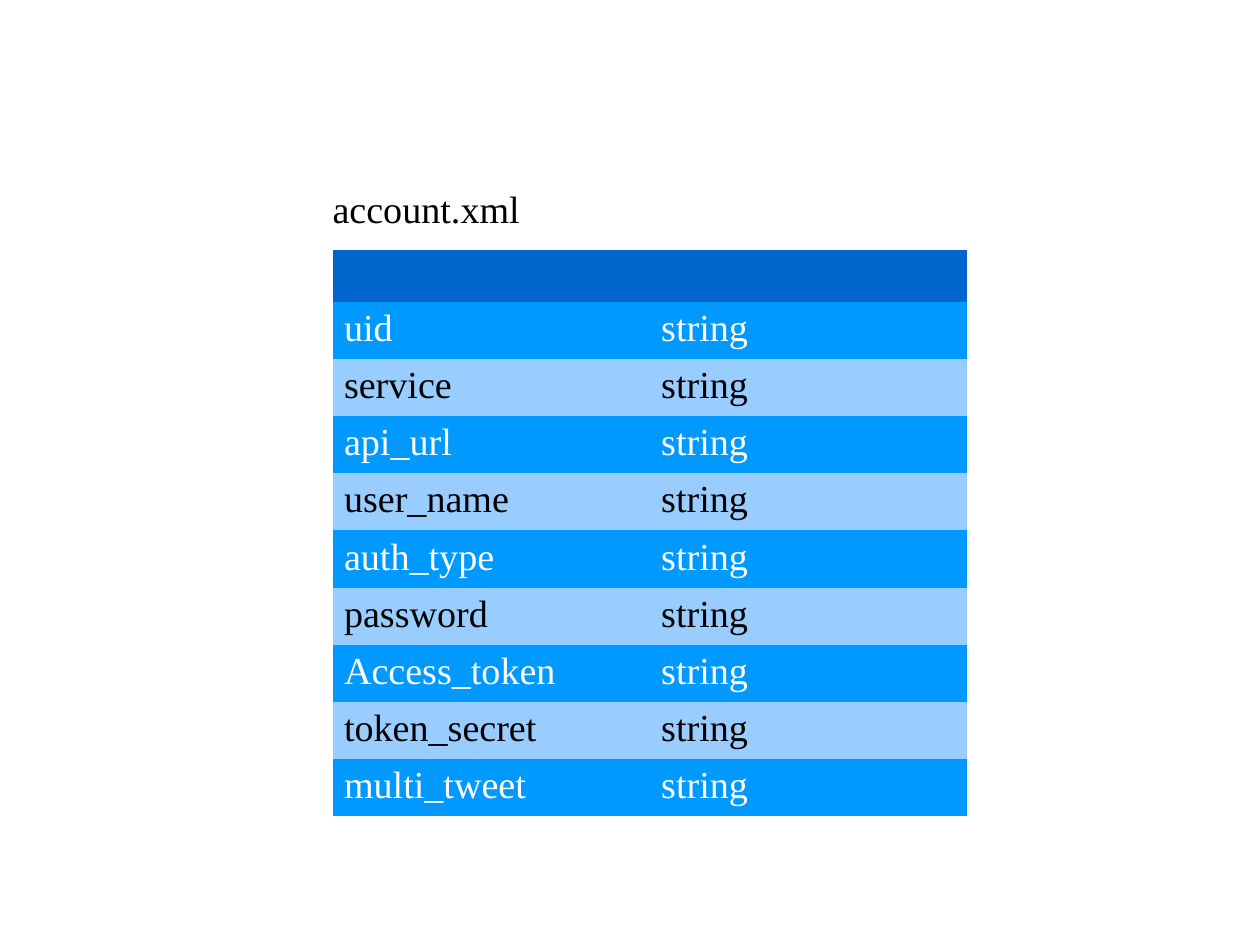
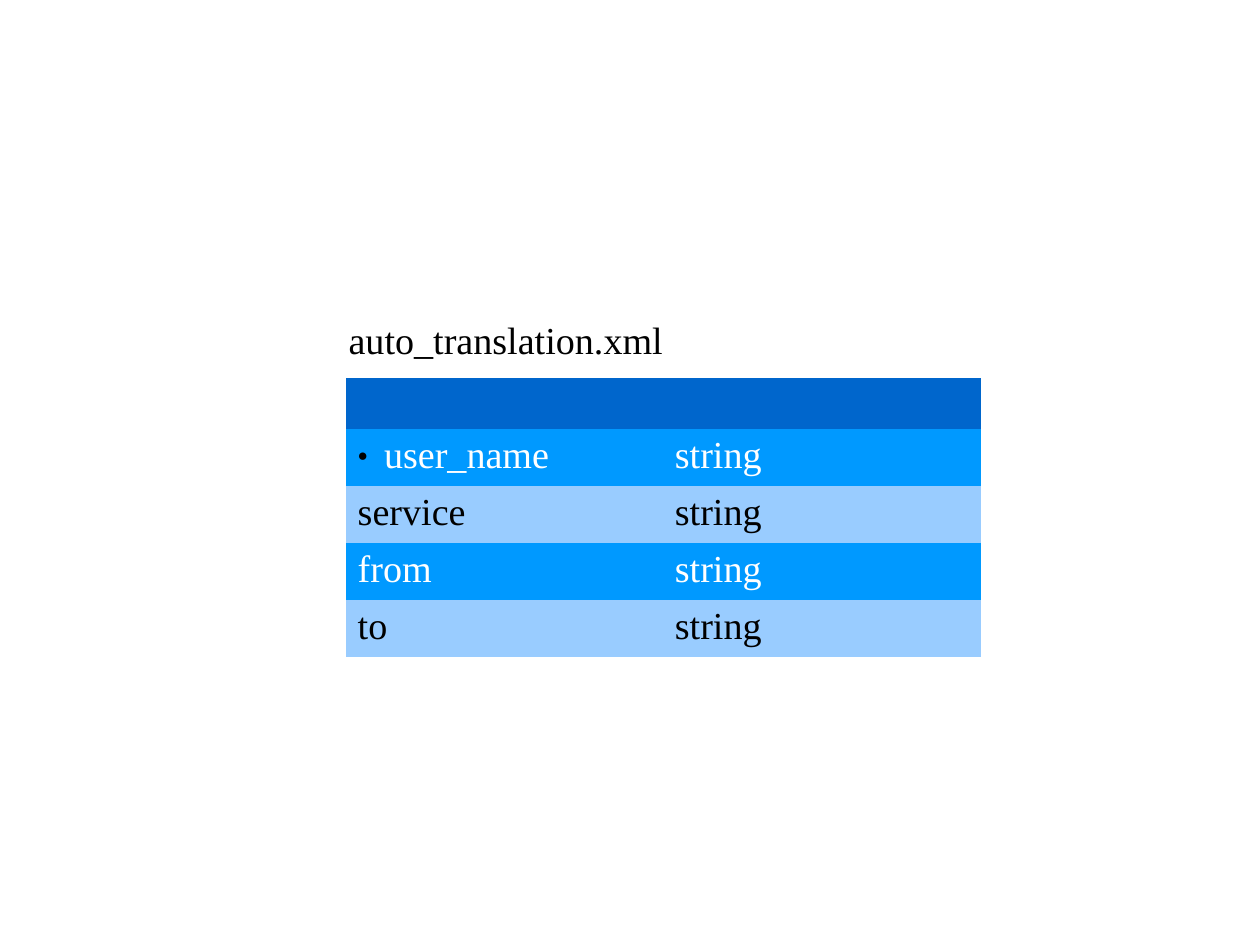
from dataclasses import dataclass

from lxml import etree
from pptx import Presentation
from pptx import util as u
from pptx.dml.color import RGBColor
from pptx.enum import text
from pptx.oxml.ns import qn

COLORS = {
    "header": "0066CC",
    "odd": "0099FF",
    "even": "99CCFF",
    "light": "FFFFFF",
    "dark": "000000",
}
FONT = "Times New Roman"
SIZE = 24
CM_PER_INCH = 2.54
PAGE_CM = (28, 21)
TABLE_W = 5.55
ROW_H = 0.5
BULLET_INDENT = 0.23
NO_STYLE_NO_GRID = "{2D5ABB26-0587-4C30-8999-92F81FD0307C}"


@dataclass
class Schema:
    """One XML file and its string fields."""
    title: str
    title_at: tuple[float, float, float, float]
    table_at: tuple[float, float]
    header_h: float
    fields: list[str]
    bulleted: tuple[str, ...] = ()


SCHEMAS = [
    Schema("account.xml", (2.81, 1.57, 3.74, 0.47), (2.91, 2.19), 0.45,
           ["uid", "service", "api_url", "user_name", "auth_type", "password",
            "Access_token", "token_secret", "multi_tweet"]),
    Schema("auto_translation.xml", (2.95, 2.72, 3.94, 0.47), (3.03, 3.31), 0.44,
           ["user_name", "service", "from", "to"], bulleted=("user_name",)),
]


def add_bullet(p) -> None:
    """Give a paragraph a small dark round bullet with a hanging indent."""
    pPr = p._p.get_or_add_pPr()
    indent = u.Inches(BULLET_INDENT)
    pPr.set("marL", str(indent))
    pPr.set("indent", str(-indent))
    color = etree.SubElement(pPr, qn("a:buClr"))
    etree.SubElement(color, qn("a:srgbClr"), val=COLORS["dark"])
    etree.SubElement(pPr, qn("a:buSzPct"), val="45000")
    etree.SubElement(pPr, qn("a:buFont"), typeface=FONT)
    etree.SubElement(pPr, qn("a:buChar"), char="●")


def write(tf, content: str, *, color: str = "dark", bullet: bool = False) -> None:
    """Write one left-aligned paragraph in the shared font."""
    p = tf.paragraphs[0]
    p.alignment = text.PP_ALIGN.LEFT
    if bullet:
        add_bullet(p)
    r = p.add_run()
    r.text = content
    r.font.name = FONT
    r.font.size = u.Pt(SIZE)
    r.font.color.rgb = RGBColor.from_string(COLORS[color])


def fill_cell(cell, color: str) -> None:
    cell.fill.solid()
    cell.fill.fore_color.rgb = RGBColor.from_string(COLORS[color])


def add_title(s, schema: Schema) -> None:
    sp = s.shapes.title
    sp.left, sp.top, sp.width, sp.height = map(u.Inches, schema.title_at)
    tf = sp.text_frame
    tf.word_wrap = True
    tf.auto_size = text.MSO_AUTO_SIZE.NONE
    tf.vertical_anchor = text.MSO_ANCHOR.TOP
    write(tf, schema.title)


def add_fields(s, schema: Schema) -> None:
    """Draw the header band and one row per field, in alternating colours."""
    n = len(schema.fields)
    left, top = schema.table_at
    frame = s.shapes.add_table(
        n + 1, 2, u.Inches(left), u.Inches(top),
        u.Inches(TABLE_W), u.Inches(schema.header_h + n * ROW_H))
    table = frame.table
    table.first_row = table.horz_banding = False
    table._tbl.tblPr.find(qn("a:tableStyleId")).text = NO_STYLE_NO_GRID

    # Header band
    table.rows[0].height = u.Inches(schema.header_h)
    for cell in table.rows[0].cells:
        fill_cell(cell, "header")

    # Field rows
    for i, field in enumerate(schema.fields, start=1):
        fill, color = ("odd", "light") if i % 2 else ("even", "dark")
        table.rows[i].height = u.Inches(ROW_H)
        for j, content in enumerate((field, "string")):
            cell = table.cell(i, j)
            fill_cell(cell, fill)
            write(cell.text_frame, content, color=color,
                  bullet=content in schema.bulleted)


def main() -> None:
    prs = Presentation()
    prs.slide_width, prs.slide_height = (
        u.Inches(cm / CM_PER_INCH) for cm in PAGE_CM)
    title_only = prs.slide_layouts[5]
    for schema in SCHEMAS:
        s = prs.slides.add_slide(title_only)
        add_title(s, schema)
        add_fields(s, schema)
    prs.save("out.pptx")


if __name__ == "__main__":
    main()
